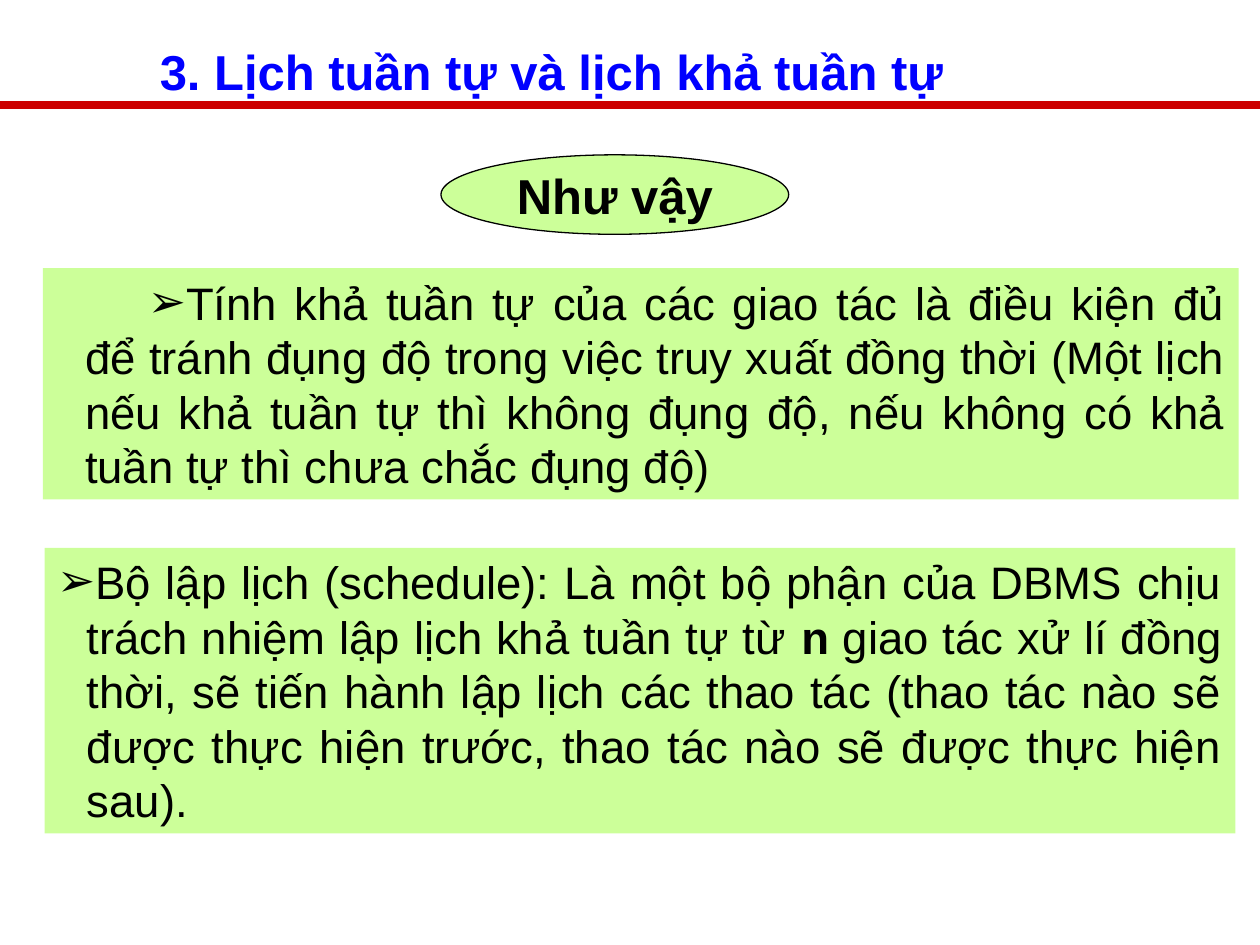
import pptx
import pptx.util
import pptx.dml.color
import pptx.enum.shapes
import pptx.enum.text
import pptx.oxml.ns
import lxml.etree

Pt = pptx.util.Pt
Align = pptx.enum.text.PP_ALIGN
Anchor = pptx.enum.text.MSO_ANCHOR
Shape = pptx.enum.shapes.MSO_SHAPE
qn = pptx.oxml.ns.qn


def color(value):
    return pptx.dml.color.RGBColor.from_string(value)


def write(box, spans, size=26, ink="000000", align=Align.JUSTIFY,
          anchor=Anchor.MIDDLE, wrap=True, left=7.2, margin=0, indent=0, bullet=None):
    frame = box.text_frame
    frame.word_wrap = wrap
    frame.auto_size = pptx.enum.text.MSO_AUTO_SIZE.NONE
    frame.vertical_anchor = anchor
    frame.margin_left, frame.margin_right = Pt(left), Pt(7.2)
    frame.margin_top = frame.margin_bottom = Pt(3.6)
    para = frame.paragraphs[0]
    para.alignment = align
    if bullet:
        properties = para._p.get_or_add_pPr()
        properties.set("marL", str(Pt(margin)))
        properties.set("indent", str(Pt(indent)))
        bullet_color = lxml.etree.SubElement(properties, qn("a:buClr"))
        lxml.etree.SubElement(bullet_color, qn("a:srgbClr"), val=ink)
        lxml.etree.SubElement(properties, qn("a:buFont"), typeface="Arial")
        lxml.etree.SubElement(properties, qn("a:buChar"), char=bullet)
    for text, bold in spans:
        span = para.add_run()
        span.text = text
        span.font.name = "Arial"
        span.font.size = Pt(size)
        span.font.bold = bold
        span.font.color.rgb = color(ink)


deck = pptx.Presentation()
deck.slide_width, deck.slide_height = Pt(720), Pt(540)
page = deck.slides.add_slide(deck.slide_layouts[5])
page.background.fill.solid()
page.background.fill.fore_color.rgb = color("FFFFFF")

title = page.shapes.title
title.left, title.top, title.width, title.height = Pt(76.3), Pt(20.2), Pt(617.8), Pt(41)
write(title, [("3. Lịch tuần tự và lịch khả tuần tự", True)],
      size=28, ink="0000FF", align=Align.LEFT, left=15)

rule = page.shapes.add_connector(
    pptx.enum.shapes.MSO_CONNECTOR.STRAIGHT, Pt(0), Pt(59.8), Pt(720), Pt(59.8))
rule.line.color.rgb = color("CC0000")
rule.line.width = Pt(4.5)
lxml.etree.SubElement(rule._element.spPr, qn("a:effectLst"))
title._element.addprevious(rule._element)

serializability = [(
    "Tính khả tuần tự của các giao tác là điều kiện đủ để tránh đụng độ trong việc "
    "truy xuất đồng thời (Một lịch nếu khả tuần tự thì không đụng độ, nếu không có khả "
    "tuần tự thì chưa chắc đụng độ)", False)]
scheduler = [
    ("Bộ lập lịch (schedule): Là một bộ phận của DBMS chịu trách nhiệm lập lịch khả "
     "tuần tự từ ", False),
    ("n", True),
    (" giao tác xử lí đồng thời, sẽ tiến hành lập lịch các thao tác (thao tác nào sẽ "
     "được thực hiện trước, thao tác nào sẽ được thực hiện sau).", False)]
arrow_bullet = {"bullet": "➢", "margin": 17}

panels = [
    (Shape.RECTANGLE, (24.5, 153.2, 683.3, 132.2), serializability,
     {"indent": 36, **arrow_bullet}),
    (Shape.RECTANGLE, (25.5, 313, 680.4, 163.2), scheduler,
     {"indent": -17, "anchor": Anchor.TOP, **arrow_bullet}),
    (Shape.OVAL, (252, 88.5, 198.7, 45.4), [("Như vậy", True)],
     {"size": 28, "align": Align.CENTER, "wrap": False}),
]
for kind, bounds, spans, layout in panels:
    box = page.shapes.add_shape(kind, *map(Pt, bounds))
    box.shadow.inherit = False
    box.fill.solid()
    box.fill.fore_color.rgb = color("CCFF99")
    if kind == Shape.OVAL:
        box.line.color.rgb = color("000000")
        box.line.width = Pt(0.75)
    else:
        box.line.fill.background()
    write(box, spans, **layout)

deck.save("out.pptx")
